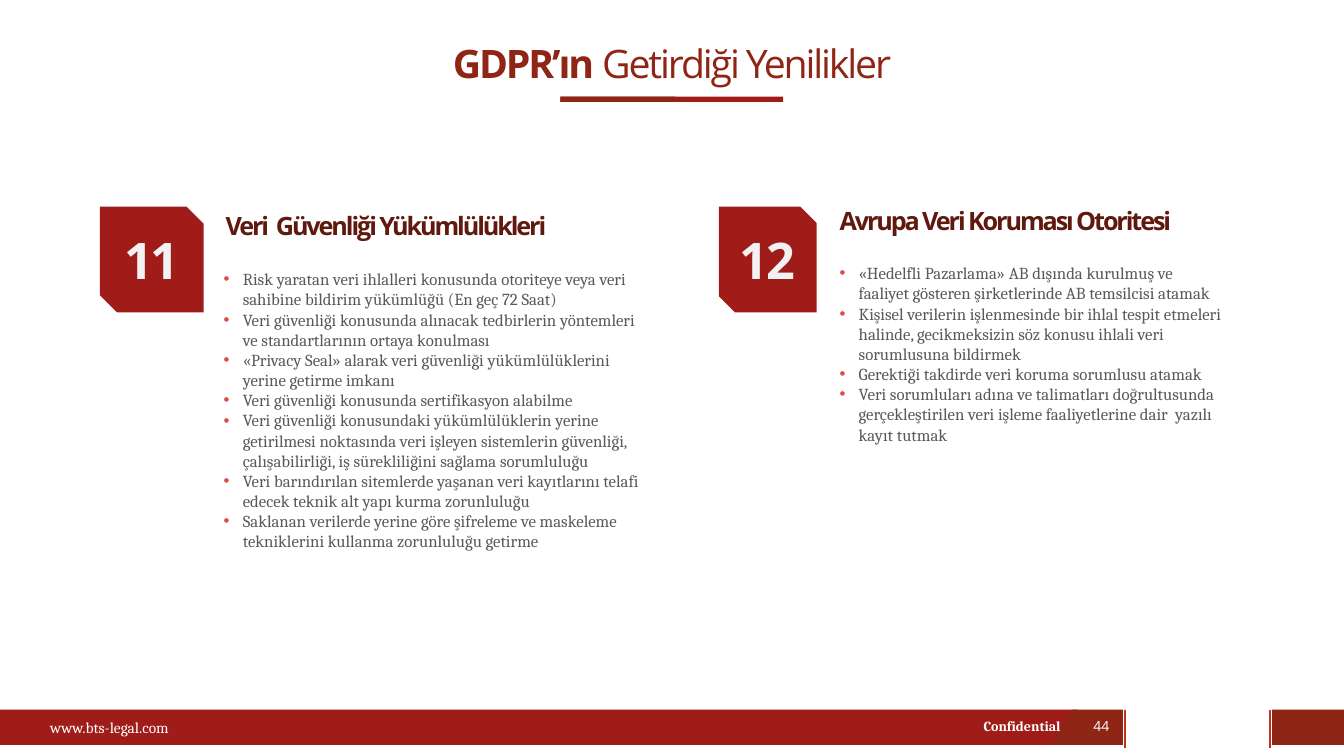
"""Builds the slide on the innovations of the GDPR, with two numbered topics."""
from dataclasses import dataclass

from lxml import etree
from pptx import Presentation
from pptx import util as u
from pptx.dml.color import RGBColor
from pptx.enum import shapes, text
from pptx.oxml.ns import qn


@dataclass(frozen=True)
class Theme:
    """Colours, fonts and type sizes of the slide."""
    red: str = "A01C18"
    brick: str = "8F2515"
    maroon: str = "60190E"
    rule: str = "BF321C"
    bullet: str = "E24848"
    gray: str = "595959"
    pale: str = "F2F2F2"
    white: str = "FFFFFF"
    sans: str = "Open Sans"
    serif: str = "Cambria"
    title: int = 28
    number: int = 36
    heading: int = 18
    body: int = 12
    site: int = 11
    small: int = 10
    tight: int = -150


@dataclass(frozen=True)
class Area:
    """A rectangle in percent of the slide's width and height."""
    left: float
    top: float
    width: float
    height: float


@dataclass(frozen=True)
class Topic:
    """A numbered badge with its heading and bullet points."""
    number: str
    heading: str
    points: tuple[str, ...]
    badge: Area
    heading_area: Area
    points_area: Area


THEME = Theme()
WIDTH, HEIGHT = u.Inches(13.333), u.Inches(7.5)
FOOTER_TOP, FOOTER_HEIGHT = 93.87, 4.67
FOOTER_BOTTOM = FOOTER_TOP + FOOTER_HEIGHT
BADGE_TOP, BADGE_HEIGHT = 27.33, 14

TITLE_AREA = Area(9.9, 4, 80.2, 8.53)
BARS = (
    (Area(41.7, 12.8, 16.58, 0.67), THEME.red),
    (Area(41.7, 12.8, 8.55, 0.67), THEME.brick),
    (Area(0, FOOTER_TOP, 80.18, FOOTER_HEIGHT), THEME.red),
    (Area(94.65, FOOTER_TOP, 5.35, FOOTER_HEIGHT), THEME.brick),
)
FOOTER_RULES = (83.7, 94.5)
FOOTER_TAB = ((79.8, FOOTER_TOP), (83.55, FOOTER_TOP),
              (83.55, FOOTER_BOTTOM), (78.15, FOOTER_BOTTOM))

TOPICS = (
    Topic(
        "11", "Veri  Güvenliği Yükümlülükleri",
        ("Risk yaratan veri ihlalleri konusunda otoriteye veya veri sahibine bildirim yükümlüğü (En geç 72 Saat)",
         "Veri güvenliği konusunda alınacak tedbirlerin yöntemleri ve standartlarının ortaya konulması",
         "«Privacy Seal» alarak veri güvenliği yükümlülüklerini yerine getirme imkanı",
         "Veri güvenliği konusunda sertifikasyon alabilme",
         "Veri güvenliği konusundaki yükümlülüklerin yerine getirilmesi noktasında veri işleyen sistemlerin "
         "güvenliği, çalışabilirliği, iş sürekliliğini sağlama sorumluluğu",
         "Veri barındırılan sitemlerde yaşanan veri kayıtlarını telafi edecek teknik alt yapı kurma zorunluluğu",
         "Saklanan verilerde yerine göre şifreleme ve maskeleme tekniklerini kullanma zorunluluğu getirme"),
        Area(7.43, BADGE_TOP, 7.73, BADGE_HEIGHT),
        Area(16.05, 27.47, 34.2, 4.8), Area(15.9, 34.93, 33.08, 41.6)),
    Topic(
        "12", "Avrupa Veri Koruması Otoritesi",
        ("«Hedelfli Pazarlama» AB dışında kurulmuş ve faaliyet gösteren şirketlerinde AB temsilcisi atamak",
         "Kişisel verilerin işlenmesinde bir ihlal tespit etmeleri halinde, gecikmeksizin söz konusu ihlali "
         "veri sorumlusuna bildirmek",
         "Gerektiği takdirde veri koruma sorumlusu atamak",
         "Veri sorumluları adına ve talimatları doğrultusunda gerçekleştirilen veri işleme faaliyetlerine "
         "dair  yazılı kayıt tutmak"),
        Area(53.48, BADGE_TOP, 7.28, BADGE_HEIGHT),
        Area(61.73, 26.67, 30, 4.93), Area(61.73, 34.13, 30.08, 38.9)),
)


def across(share: float) -> int:
    """Turns a percentage of the slide's width into a length."""
    return round(WIDTH * share / 100)


def down(share: float) -> int:
    """Turns a percentage of the slide's height into a length."""
    return round(HEIGHT * share / 100)


def place(area: Area) -> tuple[int, int, int, int]:
    """Gives the left, top, width and height of an area."""
    return across(area.left), down(area.top), across(area.width), down(area.height)


def add_span(para, words: str, *, size: int, color: str, font: str = THEME.serif,
             bold: bool = False, spacing: int = 0) -> None:
    """Adds formatted words to a paragraph."""
    span = para.add_run()
    span.text = words
    span.font.size = u.Pt(size)
    span.font.name = font
    span.font.bold = bold
    span.font.color.rgb = RGBColor.from_string(color)
    if spacing:
        span.font._element.set("spc", str(spacing))


def add_bullet(para) -> None:
    """Gives a paragraph a hanging coloured bullet."""
    props = para._p.get_or_add_pPr()
    indent = u.Inches(0.19)
    props.set("marL", str(indent))
    props.set("indent", str(-indent))
    tint = etree.SubElement(props, qn("a:buClr"))
    etree.SubElement(tint, qn("a:srgbClr")).set("val", THEME.bullet)
    etree.SubElement(props, qn("a:buFont")).set("typeface", "Arial")
    etree.SubElement(props, qn("a:buChar")).set("char", "•")


def write(box, *lines: str, align=text.PP_ALIGN.LEFT, anchor=text.MSO_ANCHOR.MIDDLE,
          wrap: bool = True, bullets: bool = False, **style) -> None:
    """Fills a box with one formatted paragraph for each line."""
    frame = box.text_frame
    frame.auto_size = text.MSO_AUTO_SIZE.NONE
    frame.word_wrap = wrap
    frame.vertical_anchor = anchor
    for index, line in enumerate(lines):
        para = frame.add_paragraph() if index else frame.paragraphs[0]
        if bullets:
            add_bullet(para)
        para.alignment = align
        add_span(para, line, **style)


def add_text(page, area: Area, *lines: str, **style) -> None:
    """Adds a text box to the page."""
    write(page.shapes.add_textbox(*place(area)), *lines, **style)


def paint(shape, color: str) -> None:
    """Gives a shape a plain fill without line or shadow."""
    shape.shadow.inherit = False
    shape.fill.solid()
    shape.fill.fore_color.rgb = RGBColor.from_string(color)
    shape.line.fill.background()


def add_block(page, area: Area, color: str, kind=shapes.MSO_SHAPE.RECTANGLE):
    """Adds a filled preset shape."""
    block = page.shapes.add_shape(kind, *place(area))
    paint(block, color)
    return block


def add_title(page) -> None:
    """Moves and fills the title placeholder."""
    title = page.shapes.title
    title.left, title.top, title.width, title.height = place(TITLE_AREA)
    style = dict(size=THEME.title, color=THEME.brick, font=THEME.sans, spacing=THEME.tight)
    write(title, "GDPR’ın ", align=text.PP_ALIGN.CENTER, bold=True, **style)
    add_span(title.text_frame.paragraphs[0], "Getirdiği Yenilikler", **style)


def add_footer(page) -> None:
    """Draws the slanted tab, the rules and the texts of the footer."""
    points = [(across(x), down(y)) for x, y in FOOTER_TAB]
    builder = page.shapes.build_freeform(*points[0])
    builder.add_line_segments(points[1:], close=True)
    paint(builder.convert_to_shape(), THEME.brick)
    for share in FOOTER_RULES:
        rule = page.shapes.add_connector(shapes.MSO_CONNECTOR.STRAIGHT, across(share),
                                         down(FOOTER_TOP), across(share), down(98.93))
        rule.line.color.rgb = RGBColor.from_string(THEME.rule)
        rule.line.width = u.Pt(1)
        etree.SubElement(rule._element.spPr, qn("a:effectLst"))
    add_text(page, Area(3, 94, 19.35, 4.53), "www.bts-legal.com", size=THEME.site, color=THEME.white)
    add_text(page, Area(72.45, 94.27, 8.25, 3.6), "Confidential", wrap=False,
             size=THEME.small, color=THEME.white, bold=True)
    add_text(page, Area(80.18, 93.33, 3.53, 5.33), "44", align=text.PP_ALIGN.CENTER,
             size=THEME.small, color=THEME.white, font=THEME.sans)


def add_topic(page, topic: Topic) -> None:
    """Draws a topic's badge, heading and bullet points."""
    style = dict(font=THEME.sans, bold=True, spacing=THEME.tight)
    badge = add_block(page, topic.badge, THEME.red, shapes.MSO_SHAPE.SNIP_2_DIAG_RECTANGLE)
    write(badge, topic.number, align=text.PP_ALIGN.CENTER, size=THEME.number, color=THEME.pale, **style)
    add_text(page, topic.heading_area, topic.heading, size=THEME.heading, color=THEME.maroon, **style)
    add_text(page, topic.points_area, *topic.points, anchor=text.MSO_ANCHOR.TOP, bullets=True,
             size=THEME.body, color=THEME.gray)


def main() -> None:
    """Builds and saves the deck."""
    deck = Presentation()
    deck.slide_width, deck.slide_height = WIDTH, HEIGHT
    page = deck.slides.add_slide(deck.slide_layouts[5])
    add_title(page)
    for area, color in BARS:
        add_block(page, area, color)
    add_footer(page)
    for topic in TOPICS:
        add_topic(page, topic)
    deck.save("out.pptx")


if __name__ == "__main__":
    main()
